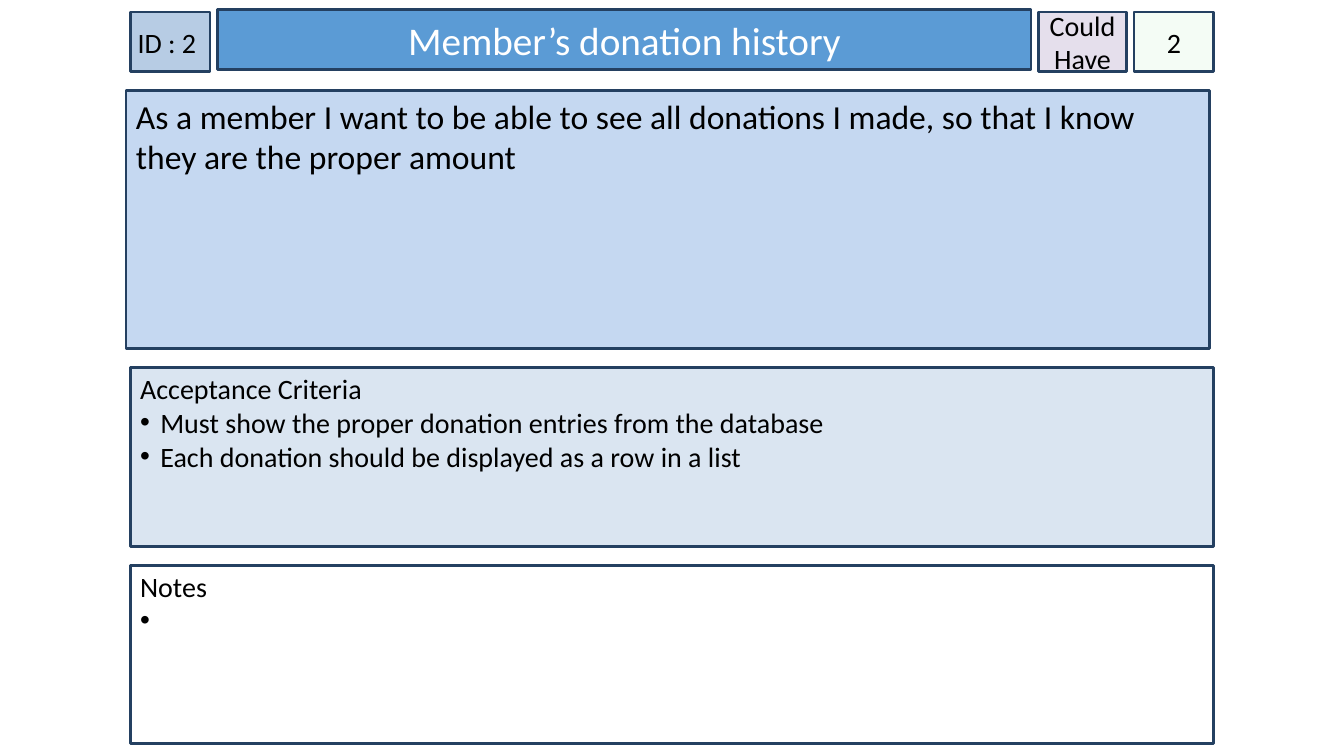
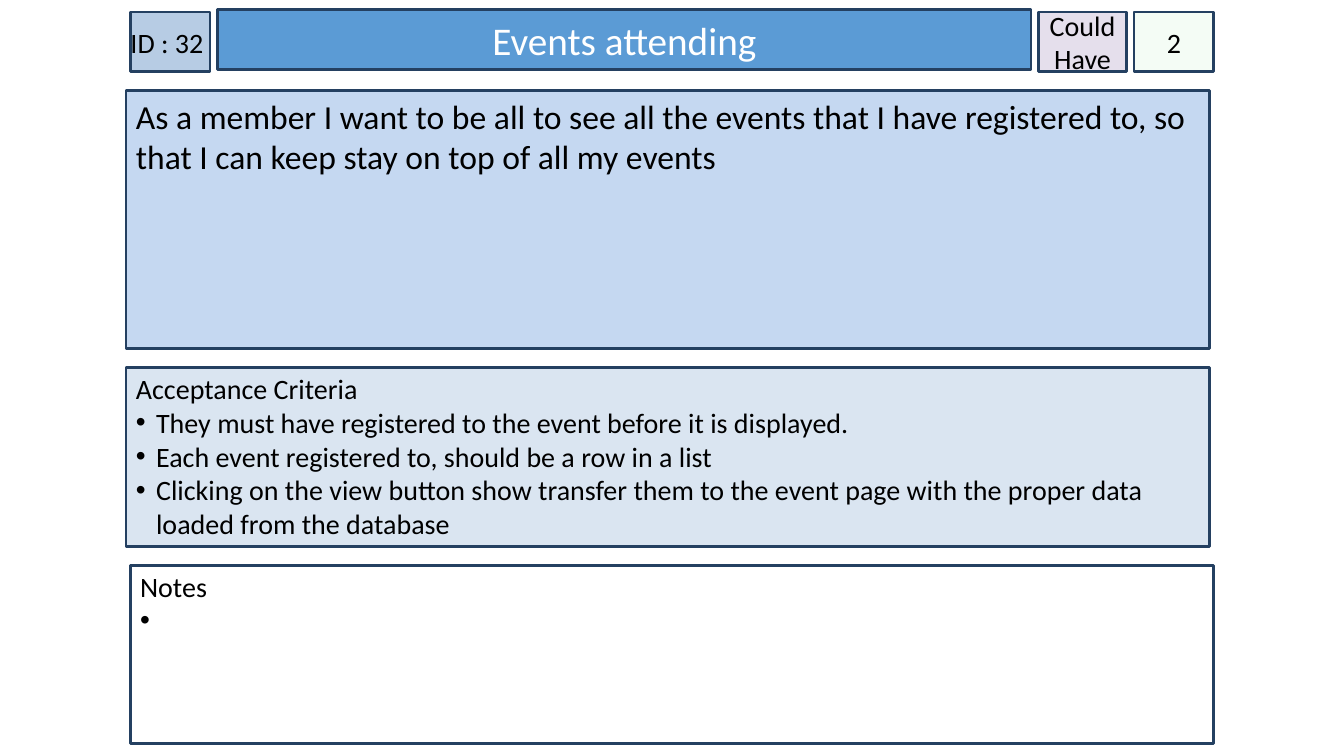
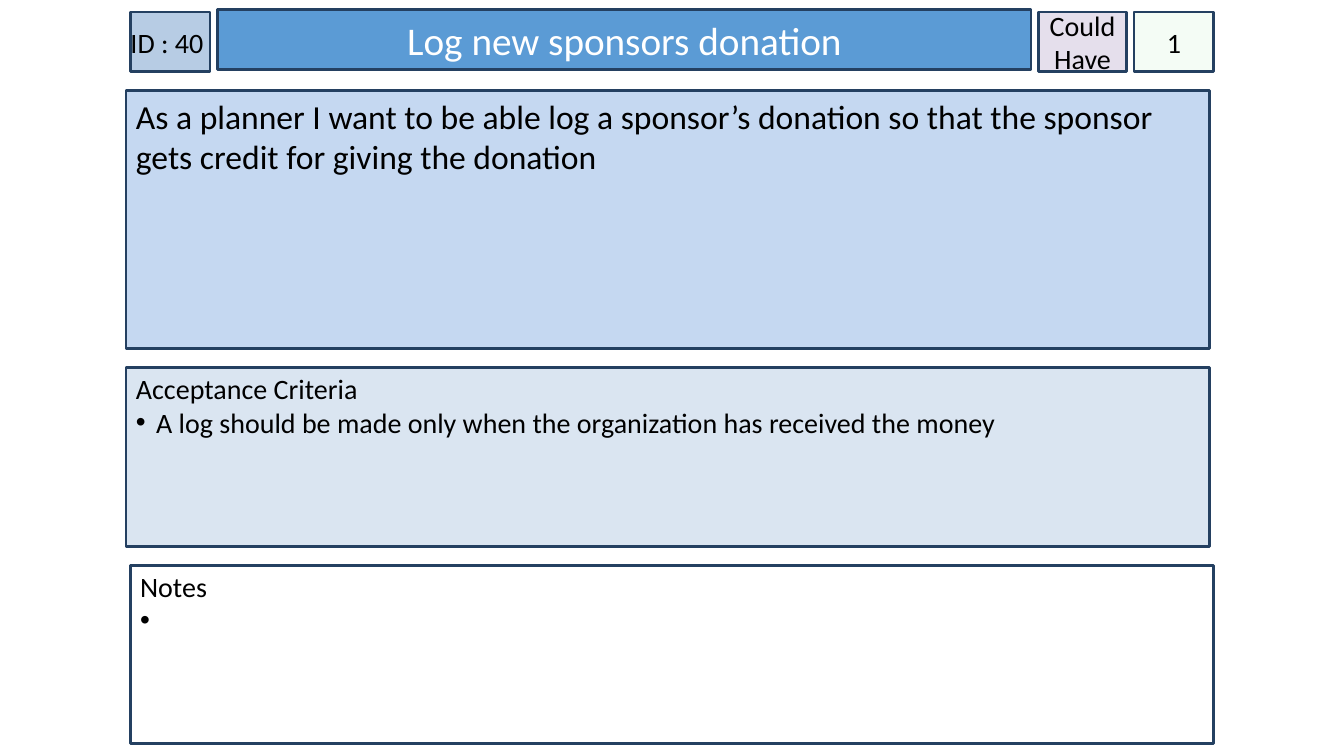
from lxml import etree
from pptx import Presentation
from pptx.dml.color import RGBColor
from pptx.enum.shapes import MSO_SHAPE
from pptx.enum.text import MSO_ANCHOR, PP_ALIGN
from pptx.oxml.ns import qn
from pptx.util import Pt

RECTANGLE = MSO_SHAPE.RECTANGLE
TOP, MIDDLE = MSO_ANCHOR.TOP, MSO_ANCHOR.MIDDLE
LEFT, CENTER = PP_ALIGN.LEFT, PP_ALIGN.CENTER

COLORS = {
    "border": "244061",
    "id": "B7CCE4",
    "title": "5B9BD5",
    "priority": "E5DFEC",
    "estimate": "CCF0CD",
    "story": "C5D8F1",
    "criteria": "DAE5F1",
    "notes": "FFFFFF",
    "text": "000000",
    "title text": "FFFFFF",
}
ESTIMATE_ALPHA = 20  # percent
BULLET_INDENT = 14.4

CARD_LEFT, CARD_WIDTH = 93, 774
SHIFTED_LEFT = 90
HEADER_TOP, HEADER_HEIGHT, HEADER_GAP = 8.6, 42.6, 5.5
TITLE_TOP = 7
HEADER_WIDTHS = {"id": 57, "title": 581, "priority": 62.5, "estimate": 57}
BODY_TOP, BODY_GAP = 64.8, 13.7
BODY_HEIGHTS = {"story": 184.3, "criteria": 127.4, "notes": 127.4}

STORIES = [
    {
        "id": "ID : 2 ",
        "title": "Member’s donation history",
        "estimate": "2",
        "story": "As a member I want to be able to see all donations I made, "
                 "so that I know they are the proper amount",
        "criteria": ["Must show the proper donation entries from the database",
                     "Each donation should be displayed as a row in a list"],
        "criteria left": CARD_LEFT,
    },
    {
        "id": "ID : 32 ",
        "title": "Events attending",
        "estimate": "2",
        "story": "As a member I want to be all to see all the events that I have "
                 "registered to, so that I can keep stay on top of all my events",
        "criteria": ["They must have registered to the event before it is displayed.",
                     "Each event registered to, should be a row in a list",
                     "Clicking on the view button show transfer them to the event "
                     "page with the proper data loaded from the database"],
        "criteria left": SHIFTED_LEFT,
    },
    {
        "id": "ID : 40 ",
        "title": "Log new sponsors donation",
        "estimate": "1",
        "story": "As a planner I want to be able log a sponsor’s donation so that "
                 "the sponsor gets credit for giving the donation",
        "criteria": ["A log should be made only when the organization has "
                     "received the money"],
        "criteria left": SHIFTED_LEFT,
    },
]


def add_bullet(paragraph):
    properties = paragraph._p.get_or_add_pPr()
    properties.set("marL", str(Pt(BULLET_INDENT)))
    properties.set("indent", str(-Pt(BULLET_INDENT)))
    bullet_color = etree.SubElement(properties, qn("a:buClr"))
    etree.SubElement(bullet_color, qn("a:srgbClr"), val=COLORS["text"])
    etree.SubElement(properties, qn("a:buFont"), typeface="Arial")
    etree.SubElement(properties, qn("a:buChar"), char="•")


def add_panel(slide, part, bounds, lines, size=20, color="text",
              align=LEFT, anchor=TOP, side_inset=7.2, top_inset=3.6):
    """Add a bordered panel; every line after the first is a bullet."""
    panel = slide.shapes.add_shape(RECTANGLE, *[Pt(length) for length in bounds])
    panel.shadow.inherit = False
    panel.fill.solid()
    panel.fill.fore_color.rgb = RGBColor.from_string(COLORS[part])
    panel.line.color.rgb = RGBColor.from_string(COLORS["border"])
    panel.line.width = Pt(2)
    frame = panel.text_frame
    frame_format = {
        "word_wrap": True, "vertical_anchor": anchor,
        "margin_left": Pt(side_inset), "margin_right": Pt(side_inset),
        "margin_top": Pt(top_inset), "margin_bottom": Pt(3.6),
    }
    for attribute, value in frame_format.items():
        setattr(frame, attribute, value)
    for number, line in enumerate(lines):
        paragraph = frame.add_paragraph() if number else frame.paragraphs[0]
        paragraph.alignment = align
        if number:
            add_bullet(paragraph)
        run = paragraph.add_run()
        run.text = line
        run.font.name = "Calibri"
        run.font.size = Pt(size)
        run.font.color.rgb = RGBColor.from_string(COLORS[color])
    return panel


deck = Presentation()
deck.slide_width, deck.slide_height = Pt(960), Pt(540)
blank_layout = deck.slide_layouts[6]

header_format = {"align": CENTER, "anchor": MIDDLE, "side_inset": 0}
list_format = {"top_inset": 2.9}
formats = {
    "title": {**header_format, "side_inset": 7.2, "size": 28, "color": "title text"},
    "story": {"size": 24},
    "criteria": list_format,
    "notes": list_format,
}

for story in STORIES:
    slide = deck.slides.add_slide(blank_layout)
    lines = {
        "id": [story["id"]],
        "title": [story["title"]],
        "priority": ["Could Have"],
        "estimate": [story["estimate"]],
        "story": [story["story"]],
        "criteria": ["Acceptance Criteria", *story["criteria"]],
        "notes": ["Notes", " "],
    }

    left = CARD_LEFT
    for part, width in HEADER_WIDTHS.items():
        top = TITLE_TOP if part == "title" else HEADER_TOP
        panel = add_panel(slide, part, (left, top, width, HEADER_HEIGHT),
                          lines[part], **formats.get(part, header_format))
        if part == "estimate":
            fill_color = panel._element.spPr.find(qn("a:solidFill"))[0]
            etree.SubElement(fill_color, qn("a:alpha"), val=str(ESTIMATE_ALPHA * 1000))
        left += width + HEADER_GAP

    body_lefts = {"story": SHIFTED_LEFT, "criteria": story["criteria left"],
                  "notes": CARD_LEFT}
    top = BODY_TOP
    for part, height in BODY_HEIGHTS.items():
        add_panel(slide, part, (body_lefts[part], top, CARD_WIDTH, height),
                  lines[part], **formats[part])
        top += height + BODY_GAP

deck.save("out.pptx")
